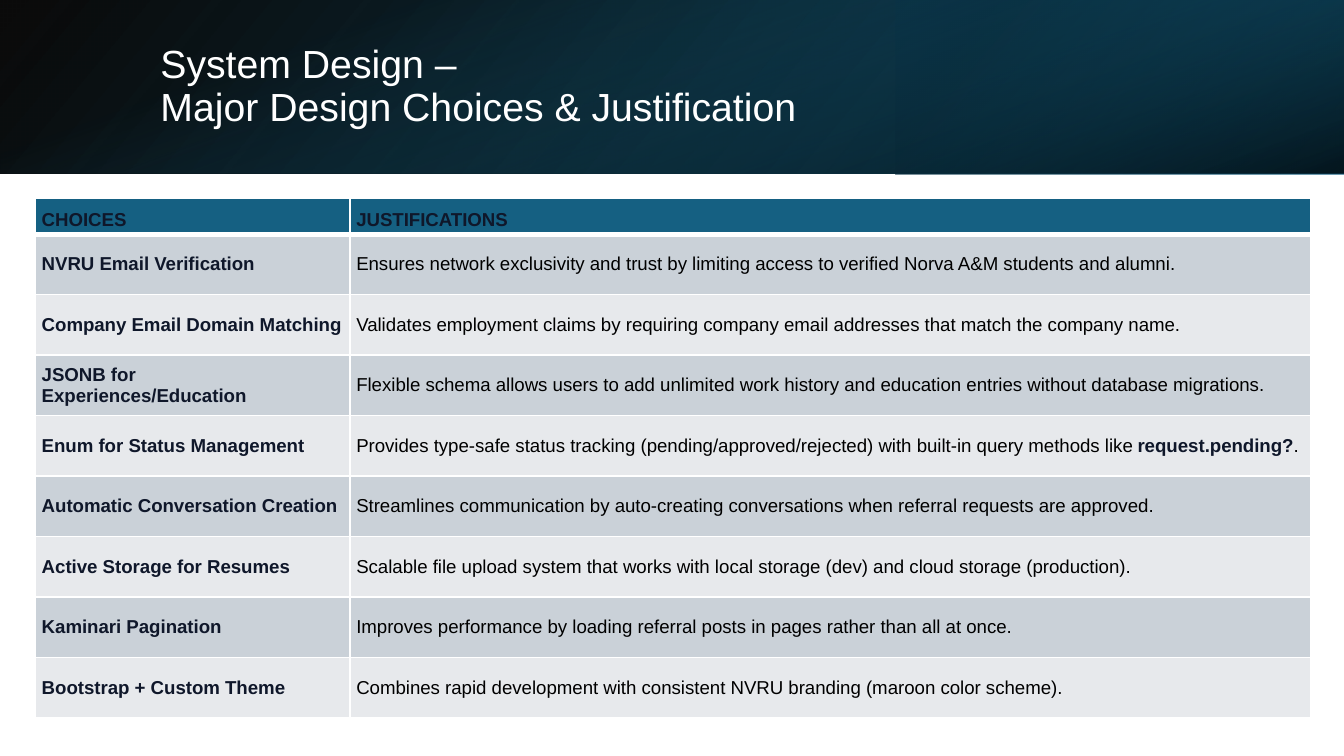
from lxml import etree
from pptx import Presentation
from pptx.dml.color import RGBColor
from pptx.enum import shapes, text
from pptx.oxml import ns
from pptx.util import Pt

WHITE = RGBColor(0xFF, 0xFF, 0xFF)
BLACK = RGBColor(0x00, 0x00, 0x00)
INK = RGBColor(0x0F, 0x17, 0x2A)
TEAL = RGBColor(0x15, 0x60, 0x82)
DEEP_TEAL = RGBColor(0x0F, 0x48, 0x61)
NAVY = RGBColor(0x0A, 0x30, 0x41)
DARK_BAND = RGBColor(0xCA, 0xD1, 0xD8)
LIGHT_BAND = RGBColor(0xE7, 0xE9, 0xEC)

SLIDE_SIZE = (720, 405)
BANNER_HEIGHT = 93.2
TITLE = "System Design –\vMajor Design Choices & Justification"
TITLE_BOX = (80.6, 20.9, 593.3, 51.8)

# Gradient stops: position %, colour, opacity %
BANNER_LAYERS = [
    {"at": (0, 0, 720, BANNER_HEIGHT), "rotation": 0, "flip": True, "angle": 140,
     "stops": [(0, BLACK, 96), (100, DEEP_TEAL, 100)]},
    {"at": (480, 0, 240, BANNER_HEIGHT), "rotation": 180, "flip": True, "angle": 320,
     "stops": [(0, NAVY, 68), (19, NAVY, 68), (100, TEAL, 79)]},
    {"at": ((720 - BANNER_HEIGHT) / 2, (BANNER_HEIGHT - 720) / 2, BANNER_HEIGHT, 720),
     "rotation": 90, "flip": False, "angle": 340,
     "stops": [(0, TEAL, 0), (23, TEAL, 0), (99, BLACK, 74), (100, BLACK, 74)]},
]

HEADER = ("CHOICES", "JUSTIFICATIONS")
# A justification is a list of pieces; every second piece is emphasised
CHOICES = [
    ("NVRU Email Verification",
     ["Ensures network exclusivity and trust by limiting access to verified "
      "Norva A&M students and alumni."]),
    ("Company Email Domain Matching",
     ["Validates employment claims by requiring company email addresses that "
      "match the company name."]),
    ("JSONB for Experiences/Education",
     ["Flexible schema allows users to add unlimited work history and education "
      "entries without database migrations."]),
    ("Enum for Status Management",
     ["Provides type-safe status tracking (pending/approved/rejected) with "
      "built-in query methods like ", "request.pending?", "."]),
    ("Automatic Conversation Creation",
     ["Streamlines communication by auto-creating conversations when referral "
      "requests are approved."]),
    ("Active Storage for Resumes",
     ["Scalable file upload system that works with local storage (dev) and "
      "cloud storage (production)."]),
    ("Kaminari Pagination",
     ["Improves performance by loading referral posts in pages rather than all "
      "at once."]),
    ("Bootstrap + Custom Theme",
     ["Combines rapid development with consistent NVRU branding (maroon color "
      "scheme)."]),
]
TABLE_LEFT, TABLE_TOP = 19, 106.2
COLUMN_WIDTHS = (168.5, 514.5)
HEADER_HEIGHT, ROW_HEIGHT = 19.2, 32.4

STRONG = {"name": "Arial", "size": Pt(10), "bold": True, "color": INK}
PLAIN = {**STRONG, "bold": False, "color": BLACK}
TITLE_FONT = {"name": "Arial", "size": Pt(21), "bold": False, "color": WHITE}
TITLE_FRAME = {"word_wrap": True, "vertical_anchor": text.MSO_ANCHOR.MIDDLE,
               "margin_left": Pt(5.4), "margin_right": Pt(5.4),
               "margin_top": Pt(2.7), "margin_bottom": Pt(2.7)}
CELL_FORMAT = {"margin_left": Pt(3.4), "margin_right": Pt(3.4),
               "margin_top": Pt(1.9), "margin_bottom": Pt(1.9)}


def apply(target, values):
    for name, value in values.items():
        if name == "color":
            target.color.rgb = value
        else:
            setattr(target, name, value)


def add_xml(parent, tag, **attributes):
    return etree.SubElement(parent, ns.qn(tag), attributes)


def add_banner_layer(slide, layer):
    shape = slide.shapes.add_shape(shapes.MSO_SHAPE.RECTANGLE, *map(Pt, layer["at"]))
    shape.shadow.inherit = False
    shape.line.fill.background()
    shape.rotation = layer["rotation"]
    properties = shape._element.spPr
    if layer["flip"]:
        properties.xfrm.set("flipH", "1")
    gradient = etree.Element(ns.qn("a:gradFill"), rotWithShape="1")
    stops = add_xml(gradient, "a:gsLst")
    for position, color, opacity in layer["stops"]:
        stop = add_xml(stops, "a:gs", pos=str(position * 1000))
        paint = add_xml(stop, "a:srgbClr", val=str(color))
        add_xml(paint, "a:alpha", val=str(opacity * 1000))
    add_xml(gradient, "a:lin", ang=str(layer["angle"] * 60000), scaled="0")
    properties.find(ns.qn("a:prstGeom")).addnext(gradient)


def add_borders(cell, top, bottom):
    """White cell borders; the side ones are 1 pt. Call before filling the cell."""
    properties = cell._tc.get_or_add_tcPr()
    for side, width in (("L", 1), ("R", 1), ("T", top), ("B", bottom)):
        line = add_xml(properties, f"a:ln{side}", w=str(Pt(width)))
        add_xml(add_xml(line, "a:solidFill"), "a:srgbClr", val=str(WHITE))


def fill_cell(cell, pieces, fonts, row):
    add_borders(cell, top=3 if row == 1 else 1, bottom=3 if row == 0 else 1)
    cell.fill.solid()
    cell.fill.fore_color.rgb = TEAL if row == 0 else DARK_BAND if row % 2 else LIGHT_BAND
    apply(cell, CELL_FORMAT)
    cell.vertical_anchor = text.MSO_ANCHOR.BOTTOM if row == 0 else text.MSO_ANCHOR.MIDDLE
    para = cell.text_frame.paragraphs[0]
    for index, piece in enumerate(pieces):
        span = para.add_run()
        span.text = piece
        apply(span.font, fonts[index % 2])


def add_choice_table(slide):
    rows = [([HEADER[0]], [HEADER[1]])] + [([name], reason) for name, reason in CHOICES]
    height = HEADER_HEIGHT + ROW_HEIGHT * len(CHOICES)
    table = slide.shapes.add_table(len(rows), len(COLUMN_WIDTHS), Pt(TABLE_LEFT), Pt(TABLE_TOP),
                                   Pt(sum(COLUMN_WIDTHS)), Pt(height)).table
    for column, width in zip(table.columns, COLUMN_WIDTHS):
        column.width = Pt(width)
    for row, (choice, reason) in enumerate(rows):
        table.rows[row].height = Pt(ROW_HEIGHT if row else HEADER_HEIGHT)
        fill_cell(table.cell(row, 0), choice, (STRONG, STRONG), row)
        fill_cell(table.cell(row, 1), reason, (PLAIN if row else STRONG, STRONG), row)


def add_title(slide):
    frame = slide.shapes.add_textbox(*map(Pt, TITLE_BOX)).text_frame
    apply(frame, TITLE_FRAME)
    para = frame.paragraphs[0]
    para.text = TITLE
    para.line_spacing = 0.9
    for span in para.runs:
        apply(span.font, TITLE_FONT)


def main():
    deck = Presentation()
    deck.slide_width, deck.slide_height = map(Pt, SLIDE_SIZE)
    slide = deck.slides.add_slide(deck.slide_layouts[6])
    for layer in BANNER_LAYERS:
        add_banner_layer(slide, layer)
    add_title(slide)
    add_choice_table(slide)
    deck.save("out.pptx")


if __name__ == "__main__":
    main()
